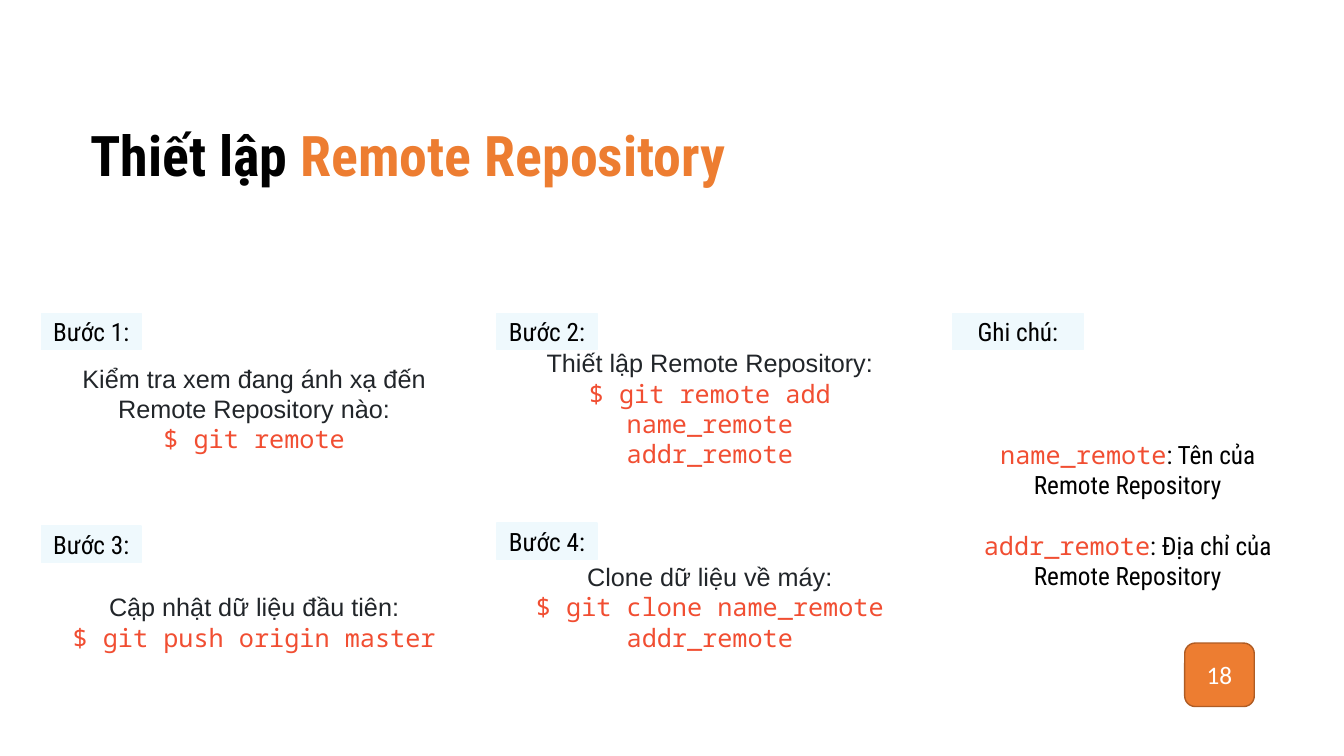
from pptx import Presentation
from pptx.dml.color import RGBColor
from pptx.enum.shapes import MSO_SHAPE
from pptx.enum.text import MSO_ANCHOR, MSO_AUTO_SIZE, PP_ALIGN
from pptx.util import Inches, Pt

HUES = {"black": "000000", "white": "FFFFFF", "orange": "ED7D31",
        "rust": "AF5C24", "gray": "212529", "code": "F14E32", "pale": "EFF9FD"}
HEAD = "Roboto Condensed"
STYLES = {"body": ("Arial", "gray"), "code": ("Noto Sans Mono", "code"),
          "note": (HEAD, "black"), "page": ("Calibri", "white")}
STEPS = [
    ("Bước 1:", 0, [[("Kiểm tra xem đang ánh xạ đến", "body")],
                    [("Remote Repository nào:", "body")],
                    [("$ git remote", "code")]], 0.05),
    ("Bước 2:", 0, [[("Thiết lập Remote Repository:", "body")],
                    [("$ git remote add name_remote", "code")],
                    [("addr_remote", "code")]], 0.05),
    ("Bước 3:", -0.01, [[("Cập nhật dữ liệu đầu tiên:", "body")],
                        [("$ git push origin master", "code")]], 0.05),
    ("Bước 4:", -0.04, [[("Clone dữ liệu về máy:", "body")],
                        [("$ git clone name_remote", "code")],
                        [("addr_remote", "code")]], 0.35),
]
NOTES = [[("name_remote", "code"), (": Tên của Remote Repository", "note")],
         [("addr_remote", "code"), (": Địa chỉ của Remote Repository", "note")]]


def tint(name):
    """Return the named colour."""
    return RGBColor.from_string(HUES[name])


def add_run(para, text, face, hue, size=18, bold=False):
    """Add one styled run to a paragraph."""
    run = para.add_run()
    run.text = text
    font = run.font
    font.name, font.size, font.bold = face, Pt(size), bold
    font.color.rgb = tint(hue)


def add_box(slide, box, lines, fill, edge, kind=MSO_SHAPE.RECTANGLE, gap=0, base=0.05):
    """Draw a filled shape with centred lines of text."""
    shape = slide.shapes.add_shape(kind, *map(Inches, box))
    shape.shadow.inherit = False
    shape.fill.solid()
    shape.fill.fore_color.rgb = tint(fill)
    shape.line.color.rgb = tint(edge)
    shape.line.width = Pt(1)
    frame = shape.text_frame
    frame.word_wrap = True
    frame.vertical_anchor = MSO_ANCHOR.MIDDLE
    frame.margin_bottom = Inches(base)
    for i, line in enumerate(lines):
        para = frame.add_paragraph() if i else frame.paragraphs[0]
        para.alignment = PP_ALIGN.CENTER
        if i and gap:
            para.space_before = Pt(gap)
        for text, style in line:
            add_run(para, text, *STYLES[style])


def add_title(slide, box):
    """Write the two-colour title."""
    frame = slide.shapes.add_textbox(*map(Inches, box)).text_frame
    frame.word_wrap = True
    frame.auto_size = MSO_AUTO_SIZE.SHAPE_TO_FIT_TEXT
    para = frame.paragraphs[0]
    add_run(para, "Thiết lập ", HEAD, "black", 40, True)
    add_run(para, "Remote Repository", HEAD, "orange", 40, True)


def add_card(slide, box, label, lines, width=0.99, shift=0, gap=0, base=0.05):
    """Draw a white panel with a pale label at its top left."""
    left, top = box[:2]
    add_box(slide, box, lines, "white", "white", gap=gap, base=base)
    add_box(slide, (left, top + shift, width, 0.36), [[(label, "note")]], "pale", "pale")


def add_steps(slide, left, top):
    """Lay the four steps out in a two by two grid."""
    for i, (label, shift, lines, base) in enumerate(STEPS):
        row, col = divmod(i, 2)
        box = (left + 4.52 * col, top + 2.12 * row, 4.22, 1.88)
        add_card(slide, box, label, lines, shift=shift, base=base)


def add_page(slide, box):
    """Draw the page number badge."""
    add_box(slide, box, [[("18", "page")]], "orange", "rust", MSO_SHAPE.ROUNDED_RECTANGLE)


def main():
    """Build and save the slide."""
    deck = Presentation()
    deck.slide_width, deck.slide_height = Inches(13.33), Inches(7.5)
    slide = deck.slides.add_slide(deck.slide_layouts[6])
    add_title(slide, (0.8, 1.15, 6.83, 0.77))
    add_steps(slide, 0.41, 3.11)
    add_card(slide, (9.45, 3.11, 3.47, 4), "Ghi chú:", NOTES, width=1.29, gap=22)
    add_page(slide, (11.75, 6.38, 0.69, 0.63))
    deck.save("out.pptx")


if __name__ == "__main__":
    main()
